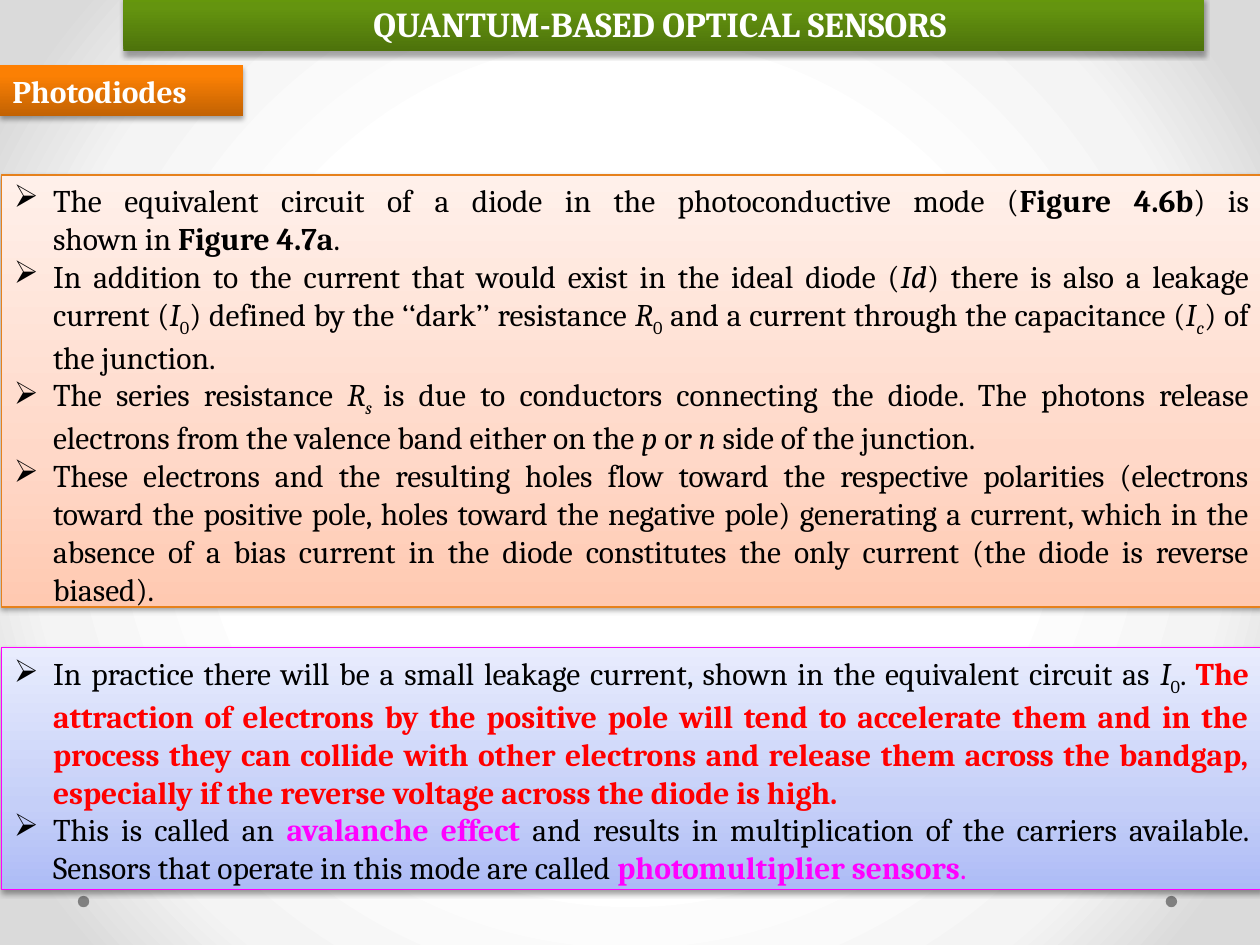
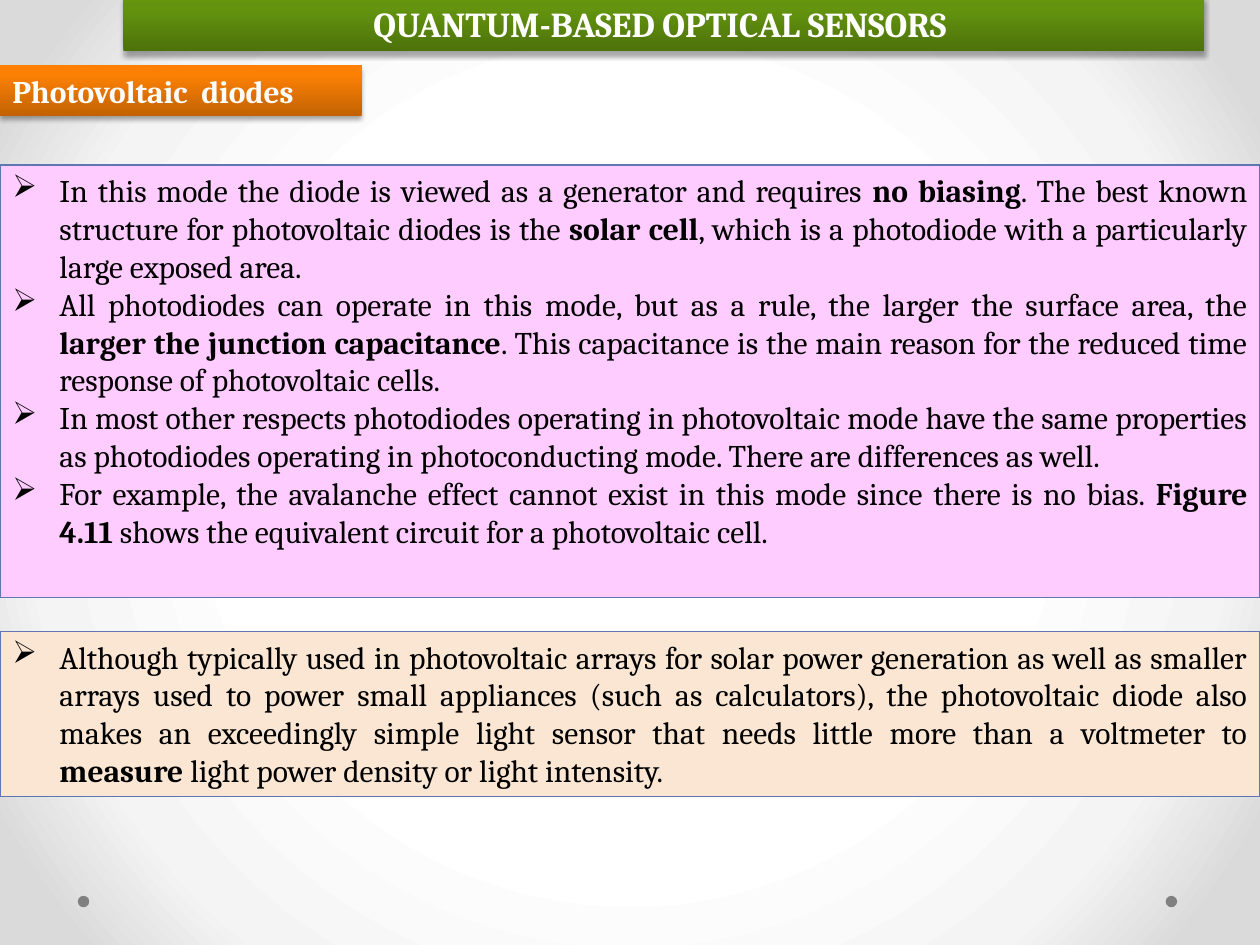
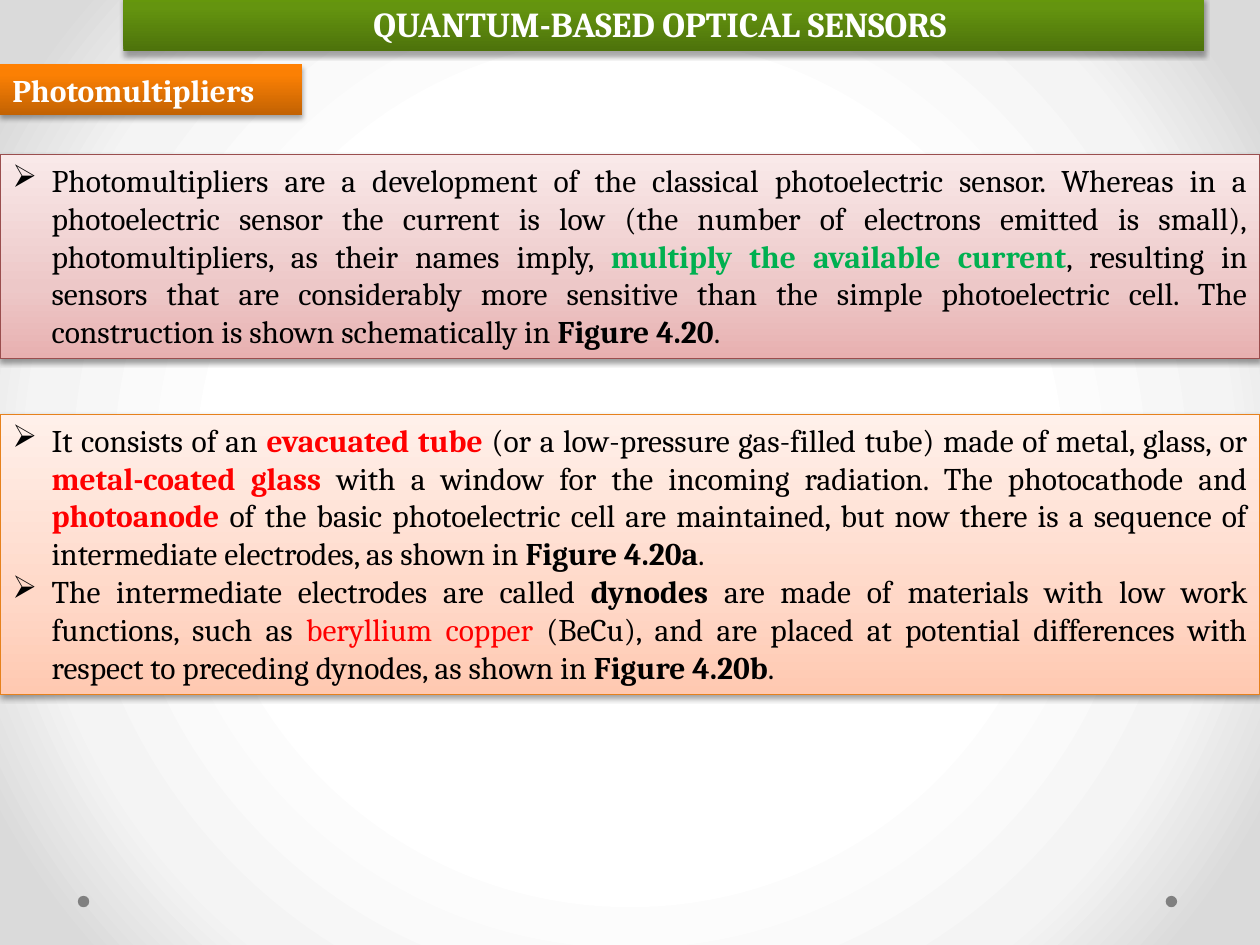
from lxml.etree import SubElement
from pptx import Presentation
from pptx.dml.color import RGBColor
from pptx.enum.shapes import MSO_SHAPE
from pptx.enum.text import MSO_ANCHOR, PP_ALIGN
from pptx.oxml.ns import qn
from pptx.util import Cm, Pt

# Shared look
FONT = "Cambria"
TITLE = "QUANTUM-BASED OPTICAL SENSORS "
BACKGROUND = [(50, "FFFFFF"), (76, "F4F4F4"), (92, "DADADA")]
GREEN_BAND = [(0, "4D720B"), (80, "64940F"), (100, "65970C")]
ORANGE_BAND = [(0, "C26203"), (80, "FB8004"), (100, "FF8002")]
PEACH = [(0, "FFC9B1"), (35, "FFD8C8"), (100, "FFF0EA")]
LAVENDER = [(0, "ADBBF6"), (35, "C5CFF8"), (100, "E8ECFD")]
ROSE = [(0, "E8B0B0"), (35, "EDC8C8"), (100, "F9E9E9")]
BAND_SHADOW = {"opacity": 35, "distance": 1.8}
PANEL_SHADOW = {"opacity": 38, "distance": 1.6}

# Run formats
BOLD = {"bold": True}
ITALIC = {"italic": True}
SUBSCRIPT = {"subscript": True}
ITALIC_SUBSCRIPT = {"italic": True, "subscript": True}
RED = {"color": "FF0000"}
BOLD_RED = {"bold": True, "color": "FF0000"}
BOLD_GREEN = {"bold": True, "color": "00B050"}
MAGENTA = {"color": "FF00FF"}
BOLD_MAGENTA = {"bold": True, "color": "FF00FF"}

# Each slide: label, its top and width, bullet indent, panels (lengths in cm)
SLIDES = [
    {
        "label": "Photodiodes", "label_top": 1.32, "label_width": 4.9, "indent": 0.79,
        "panels": [
            {"box": (0.03, 3.53, 25.4, 8.71), "fill": PEACH, "line": "E6811C", "bullets": [
                ["The equivalent circuit of a diode in the photoconductive mode (",
                 ("Figure 4.6b", BOLD), ") is\nshown in ", ("Figure 4.7a", BOLD), ". "],
                ["In addition to the current that would exist in the ideal diode (",
                 ("Id", ITALIC), ") there is also a leakage current (",
                 ("I", ITALIC), ("0", SUBSCRIPT), ") defined by the ‘‘dark’’ resistance ",
                 ("R", ITALIC), ("0", SUBSCRIPT), " and a current through the capacitance (",
                 ("I", ITALIC), ("c", ITALIC_SUBSCRIPT), ") of the junction. "],
                ["The series resistance ", ("R", ITALIC), ("s ", ITALIC_SUBSCRIPT),
                 "is due to conductors connecting the diode. The photons release electrons "
                 "from the valence band either on the ", ("p ", ITALIC), "or ",
                 ("n ", ITALIC), "side of the junction. "],
                ["These electrons and the resulting holes flow toward the respective polarities "
                 "(electrons toward the positive pole, holes toward the negative pole) "
                 "generating a current, which in the absence of a bias current in the diode "
                 "constitutes the only current (the diode is reverse biased). "],
            ]},
            {"box": (0.03, 13.06, 25.4, 4.88), "fill": LAVENDER, "line": "FF00FF", "bullets": [
                ["In practice there will be a small leakage current, shown in the equivalent "
                 "circuit as ", ("I", ITALIC), ("0", SUBSCRIPT), ". ",
                 ("The attraction of electrons by the positive pole will tend to accelerate "
                  "them and in the process they can collide with other electrons and release "
                  "them across the bandgap, especially if the reverse voltage across the "
                  "diode is high. ", BOLD_RED)],
                ["This is called an ", ("avalanche effect ", BOLD_MAGENTA),
                 "and results in multiplication of the carriers available. Sensors that "
                 "operate in this mode are called ",
                 ("photomultiplier sensors", BOLD_MAGENTA), (". ", MAGENTA)],
            ]},
        ],
    },
    {
        "label": "Photovoltaic  diodes", "label_top": 1.32, "label_width": 7.29, "indent": 0.95,
        "panels": [
            {"box": (0, 3.33, 25.4, 8.71), "fill": "FFCCFF", "line": "6076B4", "bullets": [
                ["In this mode the diode is viewed as a generator and requires ",
                 ("no biasing", BOLD),
                 ". The best known structure for photovoltaic diodes is the ",
                 ("solar cell", BOLD),
                 ", which is a photodiode with a particularly large exposed area. "],
                ["All photodiodes can operate in this mode, but as a rule, the larger the "
                 "surface area, the ", ("larger the junction capacitance", BOLD),
                 ". This capacitance is the main reason for the reduced time response of "
                 "photovoltaic cells. "],
                ["In most other respects photodiodes operating in photovoltaic mode have the "
                 "same properties as photodiodes operating in photoconducting mode. There are "
                 "differences as well. "],
                ["For example, the avalanche effect cannot exist in this mode since there is "
                 "no bias. ", ("Figure 4.11 ", BOLD),
                 "shows the equivalent circuit for a photovoltaic cell. "],
            ]},
            {"box": (0, 12.73, 25.4, 3.33), "fill": "FAE6D3", "line": "6076B4", "bullets": [
                ["Although typically used in photovoltaic arrays for solar power generation as "
                 "well as smaller arrays used to power small appliances (such as calculators), "
                 "the photovoltaic diode also makes an exceedingly simple light sensor that "
                 "needs little more than a voltmeter to ", ("measure", BOLD),
                 " light power density or light intensity. "],
            ]},
        ],
    },
    {
        "label": "Photomultipliers", "label_top": 1.3, "label_width": 6.1, "indent": 0.79,
        "panels": [
            {"box": (0, 3.12, 25.4, 4.11), "fill": ROSE, "line": "9A4E4E", "bullets": [
                ["Photomultipliers are a development of the classical photoelectric sensor. "
                 "Whereas in a\nphotoelectric sensor the current is low (the number of "
                 "electrons emitted is small),\nphotomultipliers, as their names imply, ",
                 ("multiply the available current", BOLD_GREEN),
                 ", resulting in\nsensors that are considerably more sensitive than the simple "
                 "photoelectric cell. The\nconstruction is shown schematically in ",
                 ("Figure 4.20", BOLD), ". "],
            ]},
            {"box": (0, 8.36, 25.4, 5.64), "fill": PEACH, "line": "E6811C", "bullets": [
                ["It consists of an ", ("evacuated tube ", BOLD_RED),
                 "(or a low-pressure gas-filled tube) made of metal, glass, or ",
                 ("metal-coated glass ", BOLD_RED),
                 "with a window for the incoming radiation. The photocathode and ",
                 ("photoanode ", BOLD_RED),
                 "of the basic photoelectric cell are maintained, but now there is a sequence "
                 "of intermediate electrodes, as shown in ", ("Figure 4.20a", BOLD), ". "],
                ["The intermediate electrodes are called ", ("dynodes ", BOLD),
                 "are made of materials with low work functions, such as ",
                 ("beryllium copper", RED),
                 " (BeCu), and are placed at potential differences with respect to preceding "
                 "dynodes, as shown in ", ("Figure 4.20b", BOLD), ". "],
            ]},
        ],
    },
]


def rgb(color):
    return RGBColor.from_string(color)


# Fills and shadows
def add_color(parent, color):
    return SubElement(parent, qn("a:srgbClr"), val=color)


def set_gradient(fill, owner, stops, radial=False):
    fill.gradient()
    gradient = owner.xpath(".//a:gradFill")[0]
    gradient.clear()
    stop_list = SubElement(gradient, qn("a:gsLst"))
    for position, color in stops:
        add_color(SubElement(stop_list, qn("a:gs"), pos=str(position * 1000)), color)
    if radial:
        circle = SubElement(gradient, qn("a:path"), path="circle")
        SubElement(circle, qn("a:fillToRect"), {side: "50000" for side in "ltrb"})
    else:
        SubElement(gradient, qn("a:lin"), ang=str(270 * 60000), scaled="0")


def add_shadow(shape, opacity, distance):
    effects = shape._element.spPr.find(qn("a:effectLst"))
    shadow = SubElement(effects, qn("a:outerShdw"), blurRad=str(Pt(3.1)),
                        dist=str(Pt(distance)), dir=str(90 * 60000), rotWithShape="0")
    SubElement(add_color(shadow, "000000"), qn("a:alpha"), val=str(opacity * 1000))


# Shapes and text
def add_box(slide, box, fill, line=None, shadow=None, kind=MSO_SHAPE.RECTANGLE):
    shape = slide.shapes.add_shape(kind, *(Cm(length) for length in box))
    shape.shadow.inherit = False
    if isinstance(fill, str):
        shape.fill.solid()
        shape.fill.fore_color.rgb = rgb(fill)
    else:
        set_gradient(shape.fill, shape._element.spPr, fill)
    if line:
        shape.line.color.rgb = rgb(line)
        shape.line.width = Pt(0.75)
    else:
        shape.line.fill.background()
    if shadow:
        add_shadow(shape, **shadow)
    shape.text_frame.word_wrap = True
    shape.text_frame.vertical_anchor = MSO_ANCHOR.TOP
    return shape


def add_text(paragraph, text, size=18, color="000000", bold=False, italic=False,
             subscript=False):
    for index, line in enumerate(text.split("\n")):
        if index:
            paragraph.add_line_break()
        run = paragraph.add_run()
        run.text = line
        font = run.font
        font.name, font.size, font.bold, font.italic = FONT, Pt(size), bold, italic
        font.color.rgb = rgb(color)
        if subscript:
            font._element.set("baseline", "-25000")


def set_bullet(paragraph, indent):
    properties = paragraph._p.get_or_add_pPr()
    properties.set("marL", str(Cm(indent)))
    properties.set("indent", str(-Cm(indent)))
    SubElement(properties, qn("a:buChar"), char="➢")


def add_band(slide, box, fill, text, size, alignment):
    shape = add_box(slide, box, fill, shadow=BAND_SHADOW)
    paragraph = shape.text_frame.paragraphs[0]
    paragraph.alignment = alignment
    add_text(paragraph, text, size=size, color="FFFFFF", bold=True)


def add_panel(slide, box, fill, line, bullets, indent):
    shadow = None if isinstance(fill, str) else PANEL_SHADOW
    frame = add_box(slide, box, fill, line, shadow).text_frame
    for index, runs in enumerate(bullets):
        paragraph = frame.add_paragraph() if index else frame.paragraphs[0]
        paragraph.alignment = PP_ALIGN.JUSTIFY
        set_bullet(paragraph, indent)
        for run in runs:
            text, style = (run, {}) if isinstance(run, str) else run
            add_text(paragraph, text, **style)


def add_corner_dots(slide):
    for left in (1.57, 23.5):
        add_box(slide, (left, 18.06, 0.23, 0.23), "808080", kind=MSO_SHAPE.OVAL)


def main():
    presentation = Presentation()
    presentation.slide_width, presentation.slide_height = Cm(25.4), Cm(19.05)
    master = presentation.slide_master
    set_gradient(master.background.fill, master.element, BACKGROUND, radial=True)

    for content in SLIDES:
        slide = presentation.slides.add_slide(presentation.slide_layouts[6])
        add_corner_dots(slide)
        for panel in content["panels"]:
            add_panel(slide, indent=content["indent"], **panel)
        add_band(slide, (2.49, -0.08, 21.79, 1.12), GREEN_BAND, TITLE, 20, PP_ALIGN.CENTER)
        add_band(slide, (0, content["label_top"], content["label_width"], 1.02),
                 ORANGE_BAND, content["label"], 18, PP_ALIGN.LEFT)

    presentation.save("out.pptx")


if __name__ == "__main__":
    main()
